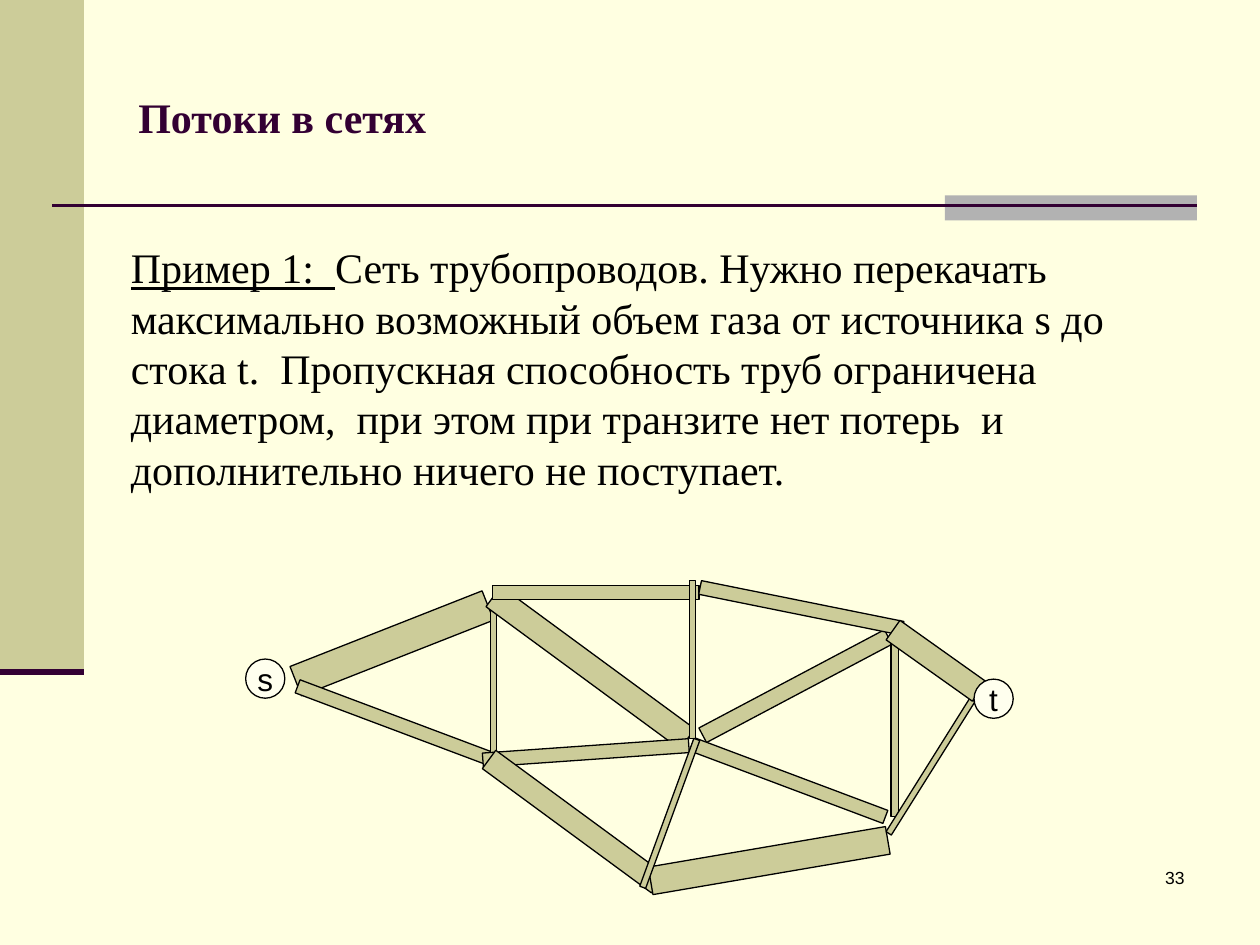
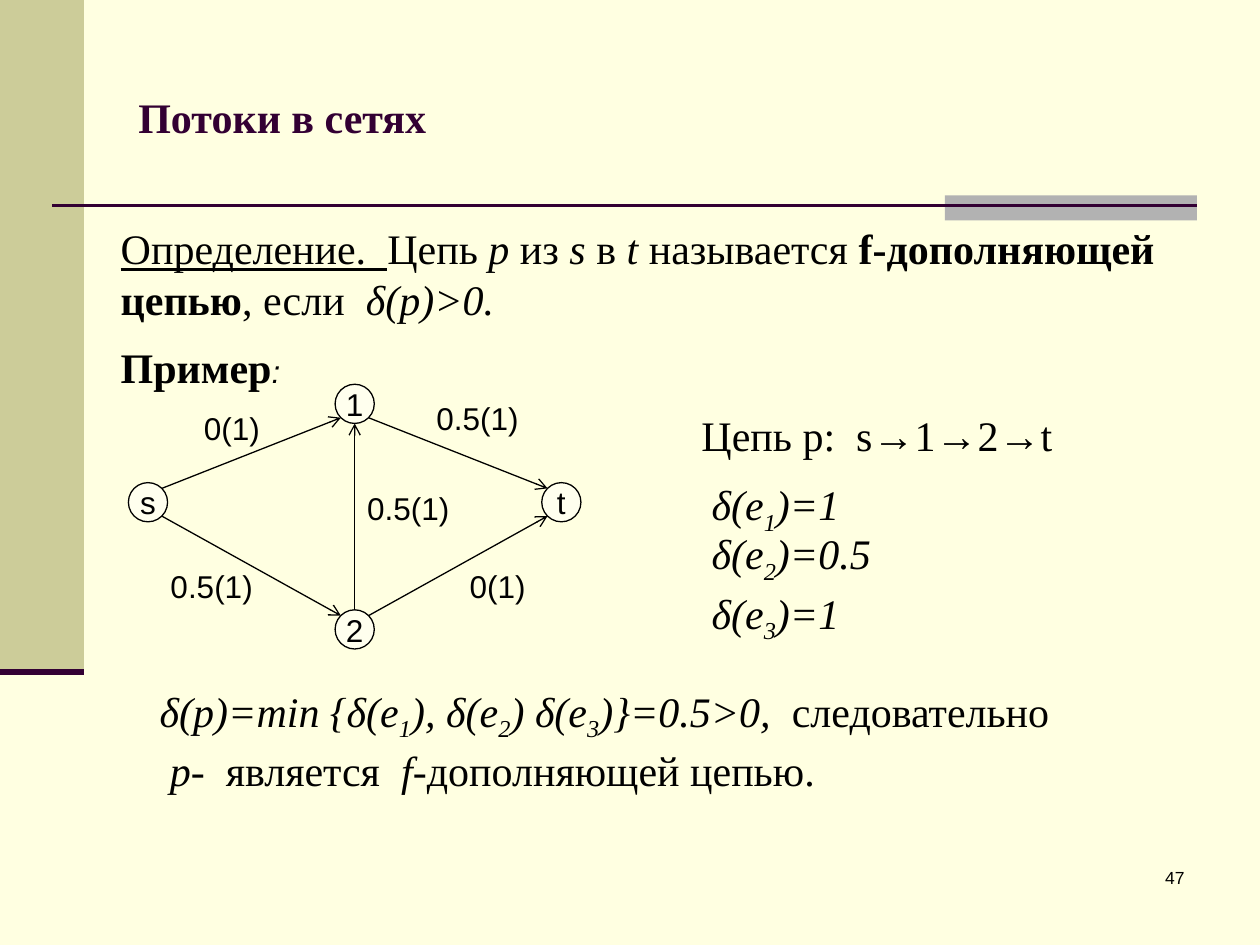
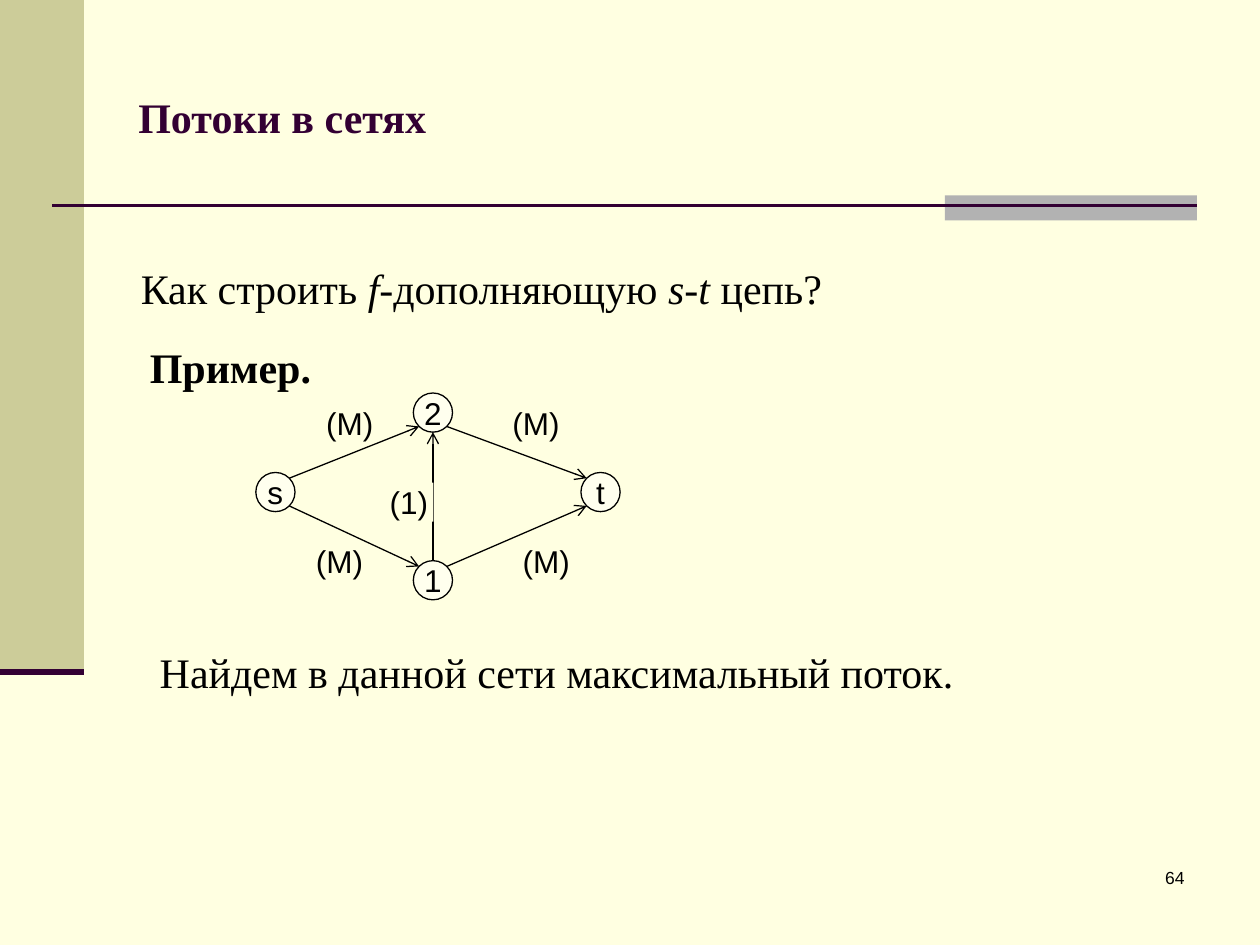
from dataclasses import dataclass
from math import sqrt

from lxml.etree import SubElement
from pptx import Presentation
from pptx.dml.color import RGBColor as Rgb
from pptx.enum.shapes import MSO_CONNECTOR as Link, MSO_SHAPE as Shape
from pptx.enum.text import MSO_ANCHOR as Anchor, PP_ALIGN as Align
from pptx.oxml.ns import qn
from pptx.util import Pt


@dataclass(frozen=True)
class Theme:
    paper: str = "FFFFE1"
    olive: str = "CCCC99"
    silver: str = "B2B2B2"
    plum: str = "330033"
    ink: str = "000000"
    node: str = "FFFFEE"
    serif: str = "Times New Roman"
    sans: str = "Arial"
    body: float = 24
    label: float = 18
    number: float = 10
    hairline: float = 0.75
    node_size: float = 22.4


THEME = Theme()


def points(*lengths):
    return [Pt(length) for length in lengths]


def write(shape, spans, size=THEME.body, font=THEME.serif, color=THEME.ink,
          align=Align.LEFT, anchor=Anchor.TOP, wrap=True):
    frame = shape.text_frame
    frame.word_wrap = wrap
    frame.vertical_anchor = anchor
    para = frame.paragraphs[0]
    para.alignment = align
    for text, style, *override in spans:
        span = para.add_run()
        span.text = text
        span.font.name, span.font.size = override or (font, Pt(size))
        span.font.color.rgb = Rgb.from_string(color)
        span.font.bold = "b" in style
        span.font.italic = "i" in style
        span.font.underline = "u" in style
        if "_" in style:
            span.font._element.set("baseline", "-25000")


def add_text(page, box, spans, **options):
    write(page.shapes.add_textbox(*points(*box)), spans, **options)


def add_block(page, box, fill, kind=Shape.RECTANGLE, outlined=False):
    block = page.shapes.add_shape(kind, *points(*box))
    block.shadow.inherit = False
    block.fill.solid()
    block.fill.fore_color.rgb = Rgb.from_string(fill)
    if outlined:
        block.line.color.rgb = Rgb.from_string(THEME.ink)
        block.line.width = Pt(THEME.hairline)
    else:
        block.line.fill.background()
    return block


def add_line(page, start, end, color=THEME.ink, width=THEME.hairline, arrow=False):
    line = page.shapes.add_connector(Link.STRAIGHT, *points(*start, *end))
    line.line.color.rgb = Rgb.from_string(color)
    line.line.width = Pt(width)
    if arrow:
        SubElement(line.line._get_or_add_ln(), qn("a:tailEnd"), type="arrow")
    SubElement(line._element.spPr, qn("a:effectLst"))


def add_node(page, left, top, name):
    node = add_block(page, (left, top, THEME.node_size, THEME.node_size),
                     THEME.node, Shape.FLOWCHART_CONNECTOR, outlined=True)
    write(node, [(name, "")], THEME.label, THEME.sans,
          align=Align.CENTER, anchor=Anchor.MIDDLE, wrap=False)


def add_page(deck, number):
    page = deck.slides.add_slide(deck.slide_layouts[6])
    add_block(page, (0, 0, 48, 384), THEME.olive)
    add_block(page, (540, 111.6, 144, 14.4), THEME.silver)
    add_line(page, (30, 117.5), (684, 117.5), THEME.plum, 1.5)
    add_line(page, (0, 384), (48, 384), THEME.plum, 3.5)
    add_text(page, (72, 21.6, 612, 90), [("Потоки в сетях", "b")],
             color=THEME.plum, anchor=Anchor.MIDDLE)
    add_text(page, (534, 492, 150, 36), [(str(number), "")],
             size=THEME.number, font=THEME.sans, align=Align.RIGHT)
    return page


def add_pipeline(page, left, top):
    pipes = [
        (24.9, 27.6, 118, 18, 338.5),
        (26.3, 78, 118, 8, 20.6),
        (96.9, 55.6, 90, 3.6, 90),
        (128.6, 43.4, 137.5, 14.4, 36.3),
        (135.8, 95.2, 118, 8, 356),
        (141.5, 3.8, 118, 8, 0),
        (254.6, 56.4, 120, 9.4, 332.1),
        (258.9, 12.4, 118, 8, 11.4),
        (251.7, 111.1, 118, 8, 20.6),
        (210.6, 44.1, 90, 3.6, 90),
        (320.8, 83, 100.8, 4.3, 90),
        (127.8, 132, 120, 13, 36.3),
        (230.8, 152.8, 137.5, 16, 350.3),
        (197.7, 132, 90, 3.6, 110.1),
        (346.7, 105.3, 90, 3.6, 122.1),
        (364.7, 39.8, 60.5, 13.7, 35.4),
    ]
    for x, y, length, diameter, angle in pipes:
        pipe = add_block(page, (left + x, top + y, length, diameter),
                         THEME.olive, outlined=True)
        pipe.rotation = angle
    add_node(page, left + 0.4, top + 45.6, "s")
    add_node(page, left + 416.6, top + 57.1, "t")


def add_network(page, left, top, nodes, edges):
    radius = THEME.node_size / 2
    for name, (x, y) in nodes.items():
        add_node(page, left + x, top + y, name)
    for tail, head in edges:
        (x1, y1), (x2, y2) = nodes[tail], nodes[head]
        across, down = (x2 > x1) - (x2 < x1), (y2 > y1) - (y2 < y1)
        reach = radius / sqrt(across ** 2 + down ** 2)
        dx, dy = across * reach, down * reach
        add_line(page, (left + x1 + radius + dx, top + y1 + radius + dy),
                 (left + x2 + radius - dx, top + y2 + radius - dy), arrow=True)


def add_flow_labels(page, left, top, labels):
    for x, y, text in labels:
        add_text(page, (left + x, top + y, 61.9, 28.8), [(text, "")],
                 size=THEME.label, font=THEME.sans, align=Align.CENTER)


def add_capacity_labels(page, left, top, labels):
    for x, y, text in labels:
        plate = add_block(page, (left + x, top + y, 28.1, 22.3), THEME.paper)
        write(plate, [(text, "")], THEME.label, THEME.sans,
              align=Align.CENTER, anchor=Anchor.MIDDLE, wrap=False)


def add_chain_deltas(page, left, top):
    add_text(page, (left, top, 225.4, 36), [("Цепь p:  s→1→2→t", "")])
    for index, (y, value) in enumerate([(39.6, "1"), (67.7, "0.5"), (101.5, "1")], 1):
        add_text(page, (left + 5.8, top + y, 129.6, 36),
                 [("δ(e", "i"), (str(index), "i_"), (")=" + value, "i")])


def build_pipeline_page(deck):
    page = add_page(deck, 33)
    add_text(page, (67.7, 134.6, 618.5, 152.6), [
        ("Пример 1:  ", "u"),
        ("Сеть трубопроводов. Нужно перекачать максимально возможный объем газа "
         "от источника s до стока t.  Пропускная способность труб ограничена "
         "диаметром,  при этом при транзите нет потерь  и дополнительно ничего "
         "не поступает.", "")])
    add_pipeline(page, 140, 331)


def build_definition_page(deck):
    page = add_page(deck, 47)
    add_text(page, (61.9, 191.5, 106.6, 36),
             [("Пример", "b"), (":", "i", THEME.sans, Pt(THEME.label))], wrap=False)
    left, top = 73.4, 219.6
    nodes = {"s": (0, 56.2), "t": (236.2, 56.2), "1": (118.1, 0), "2": (118.1, 128.9)}
    add_network(page, left, top, nodes, ["s1", "s2", "1t", "2t", "21"])
    add_text(page, (61.9, 123.8, 618.5, 65.5), [
        ("Определение.  ", "u"), ("Цепь ", ""), ("p ", "i"), ("из ", ""), ("s ", "i"),
        ("в ", ""), ("t ", "i"), ("называется ", ""), ("f-дополняющей цепью", "b"),
        (", если  ", ""), ("δ(p)>0.", "i")])
    add_flow_labels(page, left, top, [
        (28.1, 10.8, "0(1)"), (16.6, 100.8, "0.5(1)"), (128.9, 56.2, "0.5(1)"),
        (168.5, 5, "0.5(1)"), (180, 100.8, "0(1)")])
    add_chain_deltas(page, 393.8, 230.4)
    add_text(page, (84.2, 388.1, 568, 36), [
        ("δ(p)=min {δ(e", "i"), ("1", "i_"), ("), δ(e", "i"), ("2", "i_"),
        (") δ(e", "i"), ("3", "i_"), (")}=0.5>0,  ", "i"), ("следовательно", "")])
    add_text(page, (90, 421.9, 568, 36), [
        ("p-  ", "i"), ("является  ", ""), ("f-", "i"), ("дополняющей цепью.", "")])


def build_question_page(deck):
    page = add_page(deck, 64)
    add_text(page, (73.4, 146.2, 607.7, 36), [
        ("Как строить ", ""), ("f", "i"), ("-дополняющую ", ""), ("s-t ", "i"),
        ("цепь?", "")])
    add_text(page, (78.5, 191.5, 118, 36), [("Пример.", "b")])
    left, top = 146.2, 224.6
    nodes = {"s": (0, 45.4), "2": (90, 0), "1": (90, 95.8), "t": (185.8, 45.4)}
    add_network(page, left, top, nodes, ["s2", "2t", "s1", "1t", "12"])
    add_capacity_labels(page, left, top, [
        (39.6, 5.8, "(M)"), (33.8, 85, "(M)"), (151.9, 85, "(M)"),
        (146.1, 5.8, "(M)"), (73.4, 51.2, "(1)")])
    add_text(page, (84.2, 365.8, 607.7, 36),
             [("Найдем в данной сети максимальный поток.", "")])


def main():
    deck = Presentation()
    deck.slide_width, deck.slide_height = points(720, 540)
    backdrop = deck.slide_master.background.fill
    backdrop.solid()
    backdrop.fore_color.rgb = Rgb.from_string(THEME.paper)
    build_pipeline_page(deck)
    build_definition_page(deck)
    build_question_page(deck)
    deck.save("out.pptx")


if __name__ == "__main__":
    main()
